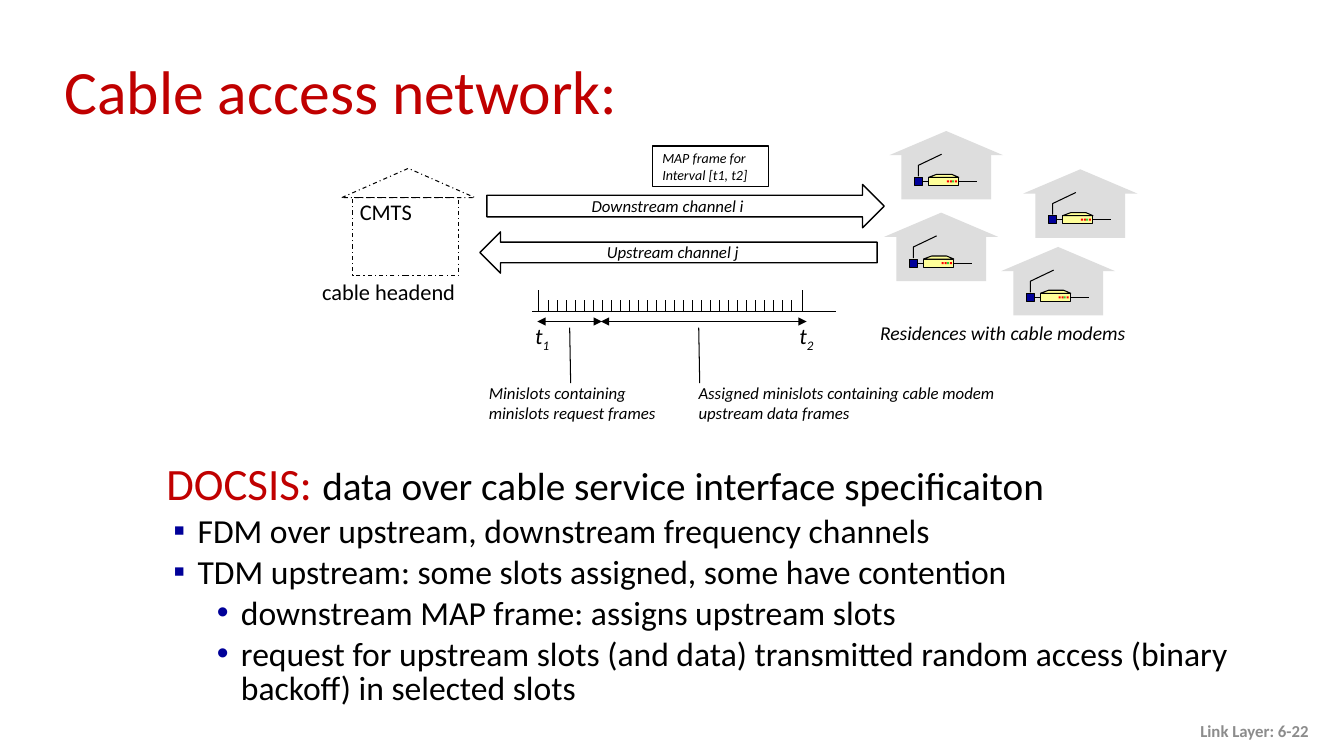
import pptx
import pptx.util
import pptx.dml.color
import pptx.enum.dml
import pptx.enum.shapes
import pptx.enum.text
import pptx.oxml
import pptx.oxml.ns

Inches, Pt = pptx.util.Inches, pptx.util.Pt
SHAPE = pptx.enum.shapes.MSO_SHAPE
ANCHOR = pptx.enum.text.MSO_ANCHOR
ALIGN = pptx.enum.text.PP_ALIGN
BLACK, RED, NAVY = "000000", "C00000", "000099"
WALL, MODEM, LED_RED, LED_GREEN = "DDDDDD", "FFFF99", "FF0000", "33CC33"


def rgb(value):
    return pptx.dml.color.RGBColor.from_string(value)


def add_xml(parent, tag, **attributes):
    child = pptx.oxml.parse_xml(f"<a:{tag} {pptx.oxml.ns.nsdecls('a')}/>")
    for name, value in attributes.items():
        child.set(name, value)
    parent.append(child)
    return child


def style_font(font, size, color=BLACK, italic=False, bold=False):
    font.name, font.size = "Calibri", Pt(size)
    font.italic, font.bold = italic, bold
    font.color.rgb = rgb(color)


def paint(shape, fill=None, weight=None):
    shape.shadow.inherit = False
    if fill:
        shape.fill.solid()
        shape.fill.fore_color.rgb = rgb(fill)
    else:
        shape.fill.background()
    if weight:
        shape.line.color.rgb = rgb(BLACK)
        shape.line.width = Pt(weight)
    else:
        shape.line.fill.background()
    return shape


def block(shapes, kind, left, top, width, height, fill=None, weight=None):
    shape = shapes.add_shape(kind, Inches(left), Inches(top), Inches(width), Inches(height))
    return paint(shape, fill, weight)


def outline(shapes, points, closed, fill=None):
    (x, y), *rest = [(Inches(px), Inches(py)) for px, py in points]
    builder = shapes.build_freeform(x, y)
    builder.add_line_segments(rest, close=closed)
    return paint(builder.convert_to_shape(), fill, 0.75)


def line(shapes, x1, y1, x2, y2, weight=0.75, arrows=False):
    connector = shapes.add_connector(pptx.enum.shapes.MSO_CONNECTOR.STRAIGHT,
                                     Inches(x1), Inches(y1), Inches(x2), Inches(y2))
    connector.line.color.rgb = rgb(BLACK)
    connector.line.width = Pt(weight)
    if arrows:
        stroke = connector.line._get_or_add_ln()
        for end in ("headEnd", "tailEnd"):
            add_xml(stroke, end, type="triangle")
    add_xml(connector._element.spPr, "effectLst")
    return connector


def write(frame, lines, size, align=ALIGN.LEFT, spacing=None, **look):
    for number, words in enumerate(lines):
        paragraph = frame.add_paragraph() if number else frame.paragraphs[0]
        paragraph.text = words
        paragraph.alignment = align
        if spacing:
            paragraph.line_spacing = spacing
        style_font(paragraph.font, size, **look)


def label(shapes, left, top, width, height, lines, size, wrap=False, **look):
    box = shapes.add_textbox(Inches(left), Inches(top), Inches(width), Inches(height))
    box.text_frame.word_wrap = wrap
    write(box.text_frame, lines, size, **look)
    return box


def place(placeholder, left, top, width, height):
    placeholder.left, placeholder.top = Inches(left), Inches(top)
    placeholder.width, placeholder.height = Inches(width), Inches(height)
    placeholder.text_frame.auto_size = pptx.enum.text.MSO_AUTO_SIZE.NONE
    return placeholder.text_frame


def house(slide, x, y):
    """Draw a residence with its cable modem; x, y is the corner of the roof's box."""
    shapes = slide.shapes.add_group_shape().shapes
    block(shapes, SHAPE.ISOSCELES_TRIANGLE, x, y, 1.13, 0.24, WALL)
    block(shapes, SHAPE.RECTANGLE, x + 0.12, y + 0.21, 0.89, 0.47, WALL)
    modem = block(shapes, SHAPE.RECTANGLE, x + 0.39, y + 0.46, 0.3, 0.08, MODEM, 0.75)
    for dx, color in ((0.57, LED_RED), (0.6, LED_RED), (0.62, LED_GREEN), (0.65, LED_RED)):
        block(shapes, SHAPE.RECTANGLE, x + dx, y + 0.49, 0.02, 0.02, color)
    lid = ((0.39, 0.46), (0.47, 0.43), (0.62, 0.43), (0.69, 0.46))
    outline(shapes, [(x + dx, y + dy) for dx, dy in lid], True, MODEM)
    splitter = block(shapes, SHAPE.RECTANGLE, x + 0.25, y + 0.46, 0.08, 0.08, NAVY, 0.75)
    feed = ((0.29, 0.45), (0.29, 0.34), (0.52, 0.23))
    outline(shapes, [(x + dx, y + dy) for dx, dy in feed], False)
    inner = line(shapes, x + 0.33, y + 0.5, x + 0.39, y + 0.5)
    inner.begin_connect(splitter, 3)
    inner.end_connect(modem, 1)
    outer = line(shapes, x + 0.69, y + 0.5, x + 0.87, y + 0.5)
    outer.begin_connect(modem, 3)


def headend(shapes):
    for kind, box in ((SHAPE.RECTANGLE, (3.5, 1.96, 1.05, 0.77)),
                      (SHAPE.ISOSCELES_TRIANGLE, (3.39, 1.67, 1.32, 0.29))):
        building = block(shapes, kind, *box, weight=0.75)
        building.line.dash_style = pptx.enum.dml.MSO_LINE.DASH_DOT
    label(shapes, 2.8, 2.76, 2.11, 0.32, ["cable headend"], 16, wrap=True,
          align=ALIGN.CENTER, spacing=0.8)
    label(shapes, 3.47, 1.92, 1.04, 0.37, ["CMTS"], 16, wrap=True)


def channels(shapes):
    block(shapes, SHAPE.RIGHT_ARROW, 4.83, 1.83, 3.94, 0.43, weight=1)
    block(shapes, SHAPE.LEFT_ARROW, 4.76, 2.3, 3.94, 0.41, weight=1)
    label(shapes, 5.77, 1.89, 1.73, 0.3, ["Downstream channel i"], 12, italic=True)
    label(shapes, 5.92, 2.35, 1.53, 0.3, ["Upstream channel j"], 12, italic=True)
    map_frame = block(shapes, SHAPE.RECTANGLE, 6.47, 1.45, 1.15, 0.4, weight=1).text_frame
    map_frame.word_wrap = False
    map_frame.vertical_anchor = ANCHOR.MIDDLE
    write(map_frame, ["MAP frame for", "Interval [t1, t2]"], 10, spacing=Pt(12), italic=True)


def timeline(shapes):
    base, slots = 3.09, 28
    line(shapes, 5.28, base, 8.29, base, 1)
    for x in (5.34, 7.96):
        line(shapes, x, 2.88, x, base, 1)
    pitch = (7.85 - 5.44) / (slots - 1)
    for slot in range(slots):
        x = 5.44 + slot * pitch
        line(shapes, x, 2.98, x, base, 1)
    for left, index in ((5.21, "1"), (7.83, "2")):
        time = label(shapes, left, 3.15, 0.35, 0.37, ["t"], 16, italic=True)
        subscript = time.text_frame.paragraphs[0].add_run()
        subscript.text = index
        subscript.font._element.set("baseline", "-25000")
    for start, end in ((5.33, 5.97), (5.96, 8)):
        line(shapes, start, 3.19, end, 3.19, arrows=True)
    for x in (5.65, 6.93):
        line(shapes, x, 3.25, x + 0.01, 3.8)
    label(shapes, 6.83, 3.75, 3.17, 0.5,
          ["Assigned minislots containing cable modem", "upstream data frames"], 12, italic=True)
    label(shapes, 4.75, 3.75, 1.87, 0.5,
          ["Minislots containing", "minislots request frames"], 12, italic=True)


def docsis_list(frame):
    heading = frame.paragraphs[0]
    properties = heading._p.get_or_add_pPr()
    properties.set("marL", str(Inches(0.38)))
    properties.set("indent", str(Inches(-0.38)))
    add_xml(properties, "buNone")
    heading.line_spacing, heading.space_before = 0.85, Pt(0)
    for words, size, color in (("DOCSIS: ", 32, RED),
                               ("data over cable service interface specificaiton", 28, BLACK)):
        run = heading.add_run()
        run.text = words
        style_font(run.font, size, color)
    for level, words in (
            (0, "FDM over upstream, downstream frequency channels"),
            (0, "TDM upstream: some slots assigned, some have contention"),
            (1, "downstream MAP frame: assigns upstream slots"),
            (1, "request for upstream slots (and data) transmitted random access "
                "(binary backoff) in selected slots")):
        item = frame.add_paragraph()
        item.text, item.level = words, level
        properties = item._p.get_or_add_pPr()
        properties.set("marL", str(Inches((0.31, 0.74)[level])))
        properties.set("indent", str(Inches(-0.24)))
        add_xml(add_xml(properties, "buClr"), "srgbClr", val=NAVY)
        add_xml(properties, "buChar", char="▪•"[level])
        item.line_spacing, item.space_before = 0.85, Pt(4.8)
        style_font(item.font, 24)


def main():
    deck = pptx.Presentation()
    deck.slide_width, deck.slide_height = Inches(13.33), Inches(7.5)
    slide = deck.slides.add_slide(deck.slide_layouts[1])
    shapes = slide.shapes
    title = place(shapes.title, 0.54, 0.45, 12.63, 0.98)
    title.vertical_anchor = ANCHOR.MIDDLE
    write(title, ["Cable access network:"], 44, spacing=0.9, color=RED)
    docsis_list(place(slide.placeholders[1], 1.55, 4.55, 10.87, 2.5))
    channels(shapes)
    timeline(shapes)
    headend(shapes)
    for x, y in ((8.82, 1.3), (10.15, 1.68), (9.93, 2.45), (8.77, 2.11)):
        house(slide, x, y)
    label(shapes, 8.63, 3.13, 2.67, 0.34, ["Residences with cable modems"], 14, italic=True)
    footer = label(shapes, 10.08, 7.05, 3, 0.4, ["Link Layer: 6-22"], 12, wrap=True,
                   align=ALIGN.RIGHT, color="8C8C8C", bold=True)
    footer.text_frame.vertical_anchor = ANCHOR.MIDDLE
    deck.save("out.pptx")


if __name__ == "__main__":
    main()
